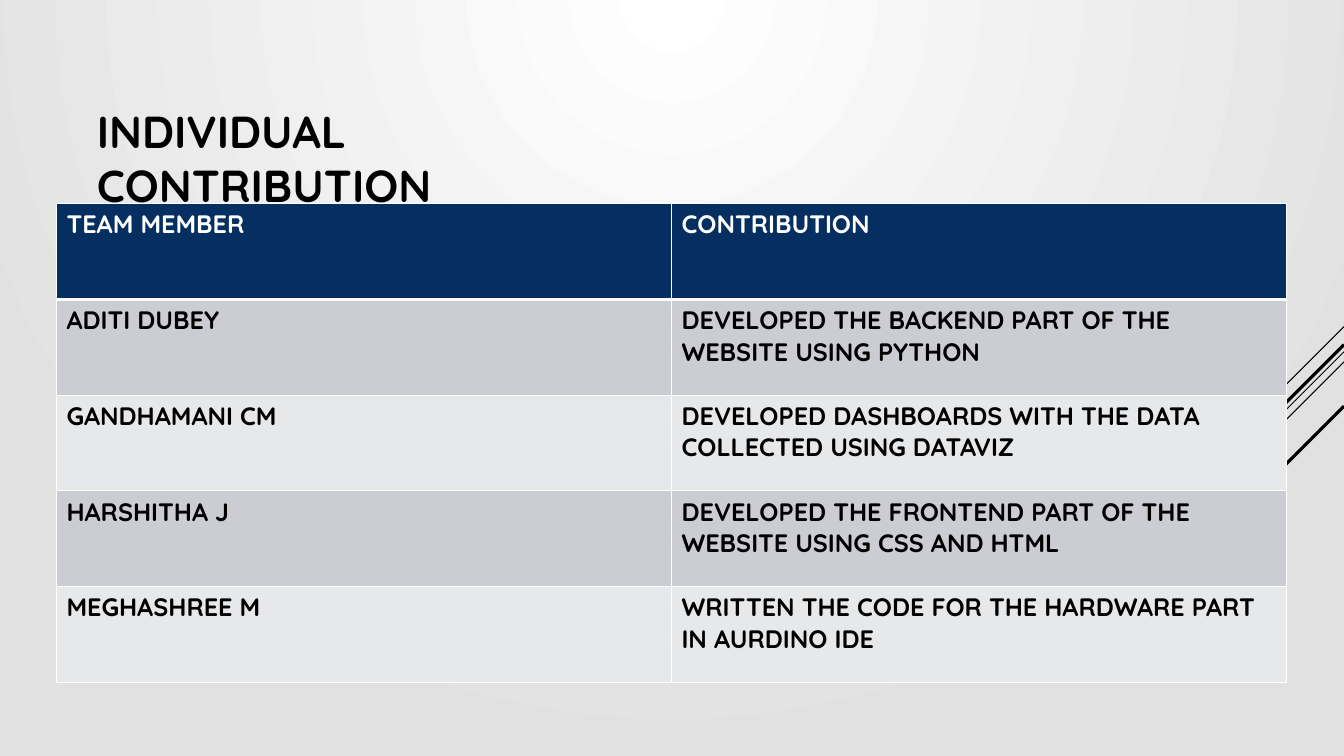
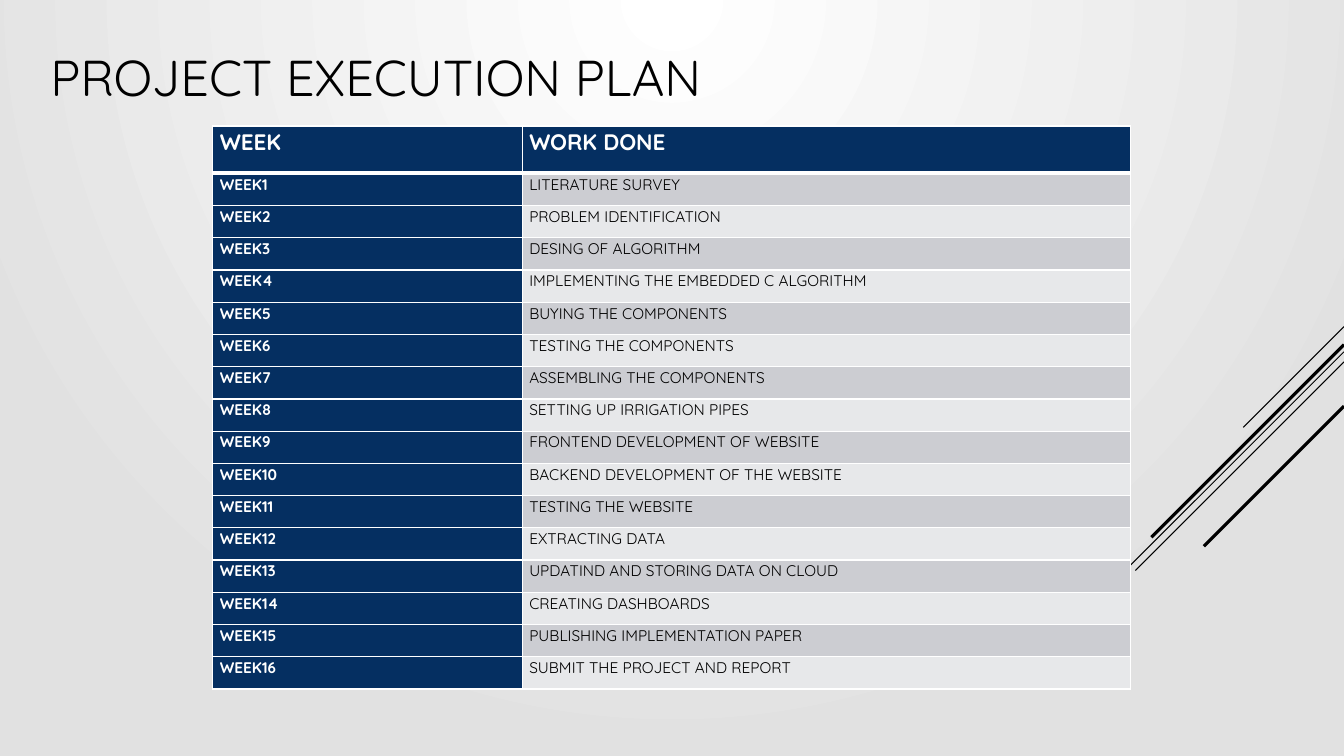
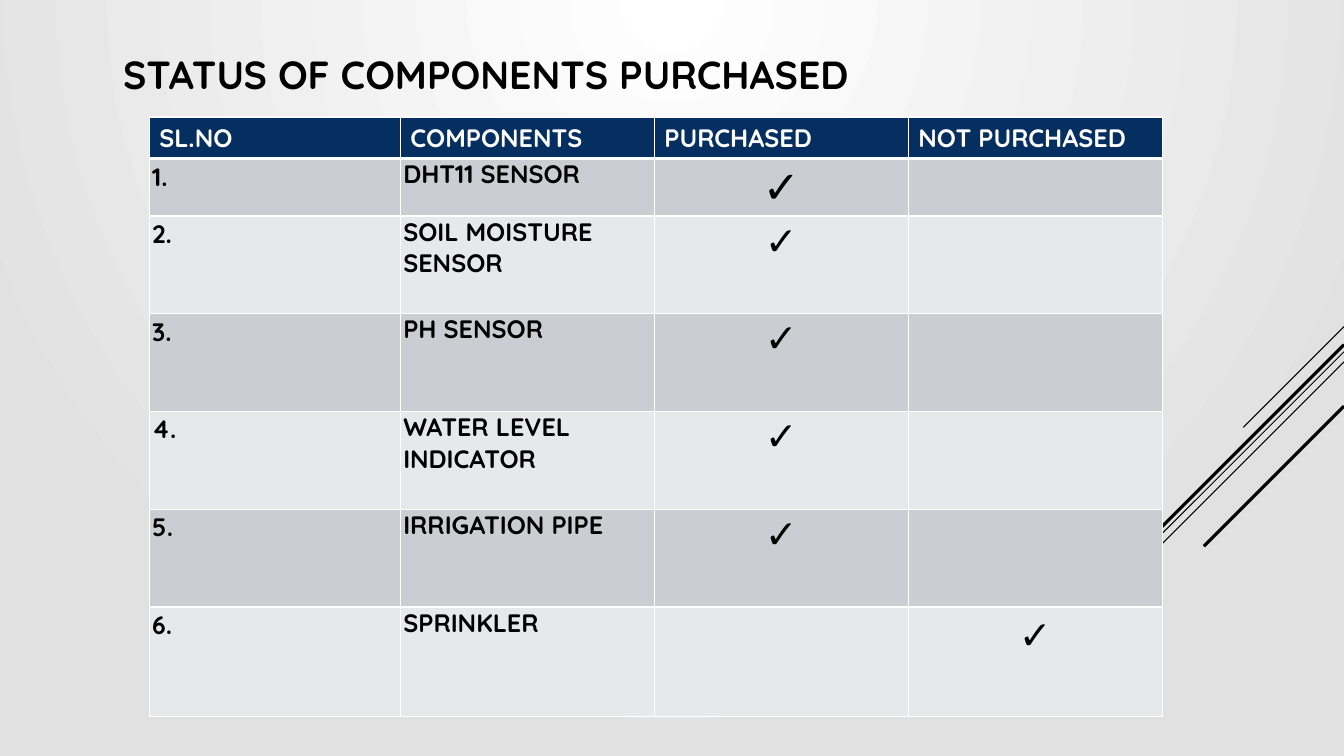
"""Build three project slides, each with a title and a styled table."""
from lxml import etree
from pptx import Presentation
from pptx.dml.color import RGBColor
from pptx.enum import shapes, text
from pptx.oxml import ns
from pptx.util import Inches, Pt


class Theme:
    font = "Quicksand"
    black = RGBColor.from_string("000000")
    white = RGBColor.from_string("FFFFFF")
    edge = RGBColor.from_string("E1E1E1")
    navy = RGBColor.from_string("052F61")
    bands = [RGBColor.from_string("E7E8EA"), RGBColor.from_string("CCCDD2")]
    thin, thick = 0.75, 2.25
    border, header_border = 1, 3
    line_spacing, space_after = 1.07, 8
    big_tick, tick = 32, 28


def set_all(target, **values):
    for name, value in values.items():
        setattr(target, name, value)


def add_border(cell, side, width):
    ln = etree.SubElement(cell._tc.get_or_add_tcPr(), ns.qn(f"a:ln{side}"), w=str(Pt(width)))
    fill = etree.SubElement(ln, ns.qn("a:solidFill"))
    etree.SubElement(fill, ns.qn("a:srgbClr"), val=str(Theme.white))


TICK = "✓"
WORK = [
    "LITERATURE SURVEY", "PROBLEM IDENTIFICATION", "DESING OF ALGORITHM",
    "IMPLEMENTING THE EMBEDDED C ALGORITHM", "BUYING THE COMPONENTS",
    "TESTING THE COMPONENTS", "ASSEMBLING THE COMPONENTS",
    "SETTING UP IRRIGATION PIPES", "FRONTEND DEVELOPMENT OF WEBSITE",
    "BACKEND DEVELOPMENT OF THE WEBSITE", "TESTING THE WEBSITE",
    "EXTRACTING DATA", "UPDATIND AND STORING DATA ON CLOUD",
    "CREATING DASHBOARDS", "PUBLISHING IMPLEMENTATION PAPER",
    "SUBMIT THE PROJECT AND REPORT",
]
COMPONENTS = ["DHT11 SENSOR", "SOIL MOISTURE SENSOR", "PH SENSOR",
              "WATER LEVEL INDICATOR", "IRRIGATION PIPE", "SPRINKLER"]

SLIDES = [
    dict(
        title="INDIVIDUAL CONTRIBUTION", title_at=(0.86, 0.98, 5, 1.2),
        title_size=32, title_bold=True, anchor=text.MSO_ANCHOR.TOP,
        at=(0.56, 2.02), cols=[6.1] * 2, heights=[0.95] * 5,
        head=dict(size=18, pad=(0.1, 0.05), spaced=()),
        body=dict(size=18, pad=(0.1, 0.05), spaced=()),
        bold_cols=(0, 1), navy_cols=(),
        rows=[
            ("TEAM MEMBER", "CONTRIBUTION"),
            ("ADITI DUBEY", "DEVELOPED THE BACKEND PART OF THE WEBSITE USING PYTHON"),
            ("GANDHAMANI CM", "DEVELOPED DASHBOARDS WITH THE DATA COLLECTED USING DATAVIZ"),
            ("HARSHITHA J", "DEVELOPED THE FRONTEND PART OF THE WEBSITE USING CSS AND HTML"),
            ("MEGHASHREE M", "WRITTEN THE CODE FOR THE HARDWARE PART IN AURDINO IDE"),
        ],
    ),
    dict(
        title="PROJECT EXECUTION PLAN", title_at=(0.4, -0.07, 9.33, 1.65),
        title_size=36, title_bold=False, anchor=text.MSO_ANCHOR.MIDDLE,
        at=(2.11, 1.25), cols=[3.07, 6.03], heights=[0.47] + [0.32] * 16,
        head=dict(size=16, pad=(0.07, 0), spaced=(0, 1)),
        body=dict(size=11, pad=(0.07, 0), spaced=(0, 1)),
        bold_cols=(0,), navy_cols=(0,),
        rows=[("WEEK", "WORK DONE")]
        + [(f"WEEK{n}", work) for n, work in enumerate(WORK, 1)],
    ),
    dict(
        title="STATUS OF COMPONENTS PURCHASED", title_at=(1.12, 0.45, 8.28, 0.57),
        title_size=28, title_bold=True, anchor=text.MSO_ANCHOR.TOP,
        at=(1.48, 1.16), cols=[2.49] + [2.52] * 3,
        heights=[0.4, 0.57] + [0.97] * 4 + [1.09],
        head=dict(size=18, pad=(0.1, 0.05), spaced=()),
        body=dict(size=18, pad=(0.03, 0), spaced=(0, 3)),
        bold_cols=(0, 1), navy_cols=(),
        rows=[("SL.NO", "COMPONENTS", "PURCHASED", "NOT PURCHASED")]
        + [(f"{n}.", name, *(("", TICK) if name == "SPRINKLER" else (TICK, "")))
           for n, name in enumerate(COMPONENTS, 1)],
    ),
]

prs = Presentation()
set_all(prs, slide_width=Inches(13.33), slide_height=Inches(7.5))
master = prs.slide_master

fill = master.background.fill
fill.gradient()
for stop, position, color in zip(fill.gradient_stops, (0, 1), (Theme.white, Theme.edge)):
    stop.position = position
    stop.color.rgb = color
grad = master.element.find(".//" + ns.qn("a:gradFill"))
grad.remove(grad.find(ns.qn("a:lin")))
circle = etree.SubElement(grad, ns.qn("a:path"), path="circle")
etree.SubElement(circle, ns.qn("a:fillToRect"), b="100000")

STRIPES = [(3.24, 1, Theme.thin), (3.49, 3.26, Theme.thin), (3.59, 2.07, Theme.thin),
           (3.42, 1.91, Theme.thick), (4.03, 1.39, Theme.thick)]

for number, spec in enumerate(SLIDES):
    s = prs.slides.add_slide(prs.slide_layouts[5])

    if number == 0:
        for i, (top, run, width) in enumerate(STRIPES):
            stripe = s.shapes.add_connector(
                shapes.MSO_CONNECTOR.STRAIGHT, Inches(13.33), Inches(top),
                Inches(13.33 - run), Inches(top + run))
            set_all(stripe.line, width=Pt(width))
            stripe.line.color.rgb = Theme.black
            etree.SubElement(stripe.element.spPr, ns.qn("a:effectLst"))
            stripe.element.nvCxnSpPr.cNvPr.id = 20 + i
            master.shapes.element.append(stripe.element)

    title = s.shapes.title
    left, top, width, height = map(Inches, spec["title_at"])
    set_all(title, left=left, top=top, width=width, height=height)
    tf = title.text_frame
    set_all(tf, text=spec["title"], word_wrap=True,
            auto_size=text.MSO_AUTO_SIZE.NONE, vertical_anchor=spec["anchor"])
    p = tf.paragraphs[0]
    p.alignment = text.PP_ALIGN.LEFT
    r = p.runs[0]
    set_all(r.font, name=Theme.font, size=Pt(spec["title_size"]), bold=spec["title_bold"])
    r.font.color.rgb = Theme.black

    rows, cols, heights = spec["rows"], spec["cols"], spec["heights"]
    left, top = map(Inches, spec["at"])
    table = s.shapes.add_table(len(rows), len(cols), left, top,
                               Inches(sum(cols)), Inches(sum(heights))).table
    for column, width in zip(table.columns, cols):
        column.width = Inches(width)
    for row, height in zip(table.rows, heights):
        row.height = Inches(height)

    for y, values in enumerate(rows):
        look = spec["body"] if y else spec["head"]
        for x, value in enumerate(values):
            cell = table.cell(y, x)
            for side in "LRTB":
                under_header = (y, side) in ((0, "B"), (1, "T"))
                add_border(cell, side, Theme.header_border if under_header else Theme.border)
            navy = y == 0 or x in spec["navy_cols"]
            cell.fill.solid()
            cell.fill.fore_color.rgb = Theme.navy if navy else Theme.bands[y % 2]
            if not value:
                continue
            across, down = map(Inches, look["pad"])
            set_all(cell, text=value, margin_left=across, margin_right=across,
                    margin_top=down, margin_bottom=down)
            p = cell.text_frame.paragraphs[0]
            if x in look["spaced"]:
                set_all(p, line_spacing=Theme.line_spacing, space_after=Pt(Theme.space_after))
            size, bold = look["size"], y == 0 or x in spec["bold_cols"]
            if value == TICK:
                p.alignment = text.PP_ALIGN.CENTER
                size = Theme.big_tick if y == 1 else Theme.tick
            r = p.runs[0]
            set_all(r.font, name=Theme.font, size=Pt(size), bold=bold)
            r.font.color.rgb = Theme.white if navy else Theme.black

prs.save("out.pptx")
